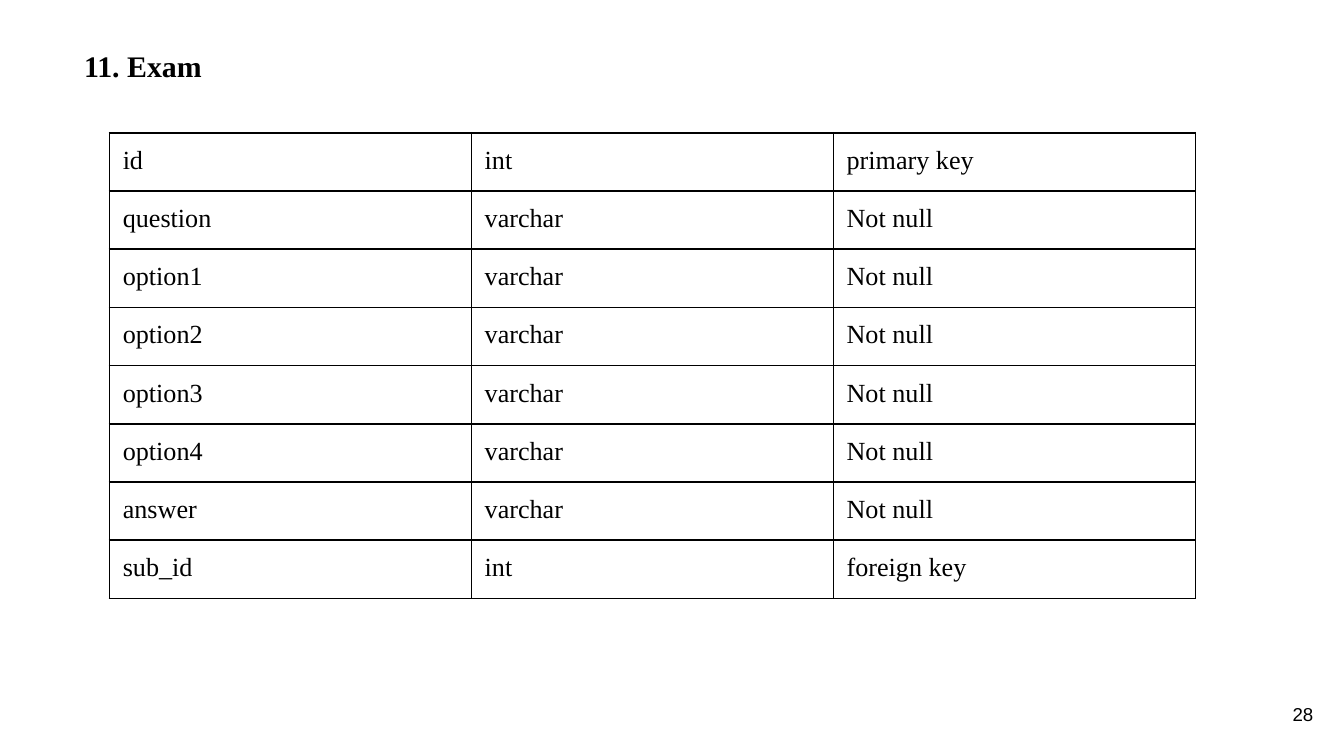
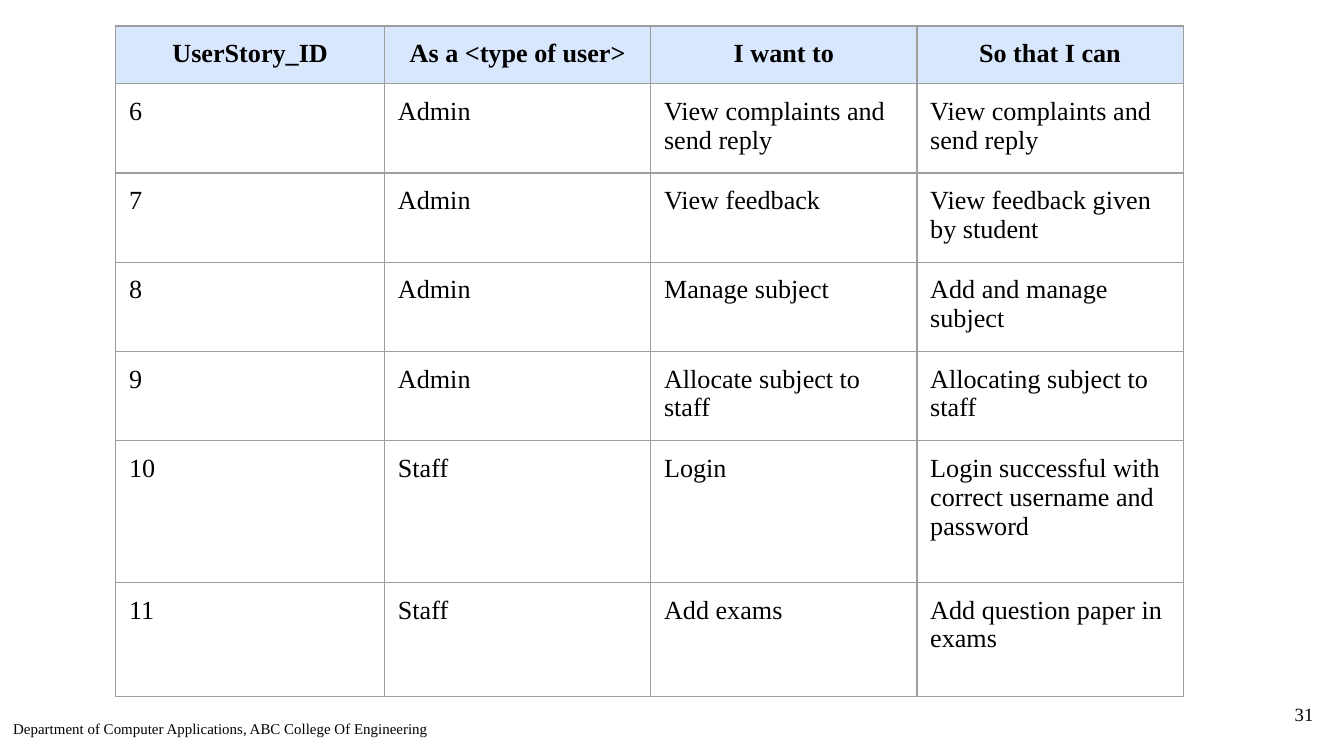
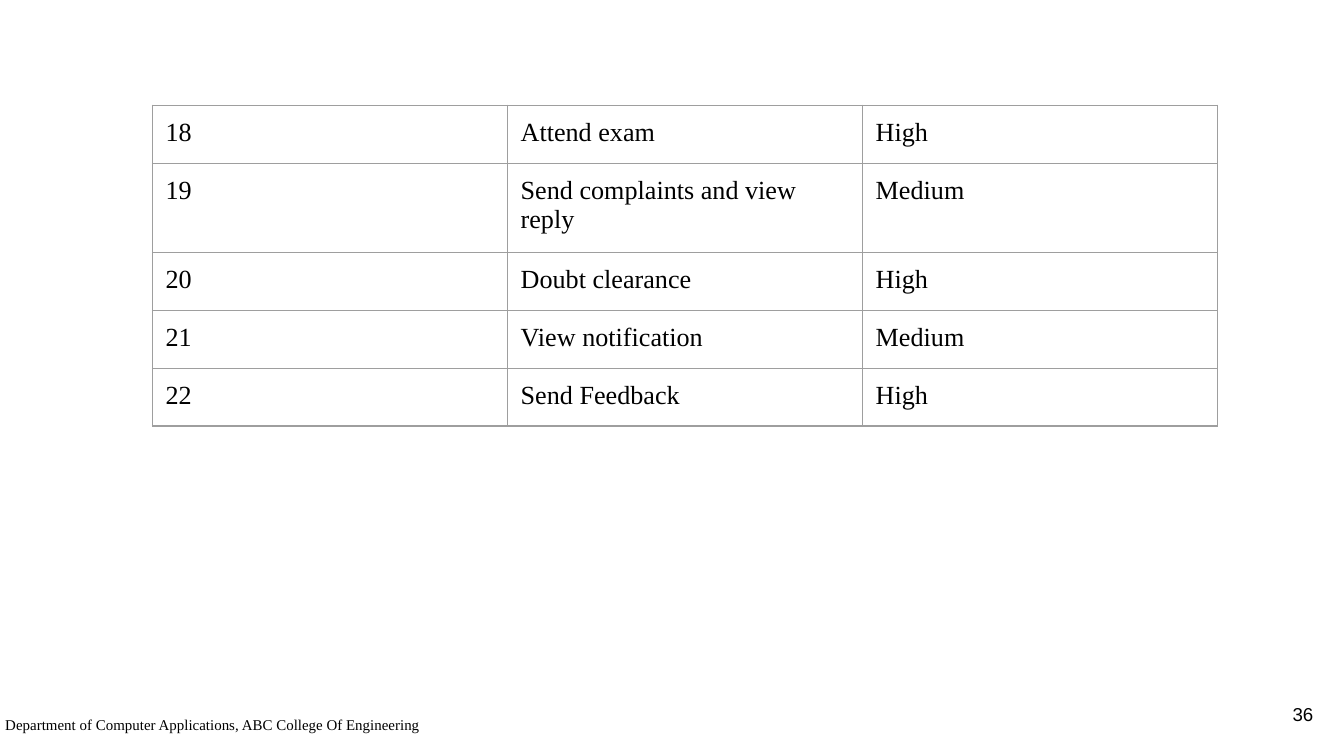
from lxml.etree import SubElement
from pptx import Presentation
from pptx.dml.color import RGBColor
from pptx.enum.text import MSO_ANCHOR, PP_ALIGN
from pptx.oxml.ns import qn
from pptx.util import Cm, Pt

BLACK = RGBColor(0x00, 0x00, 0x00)
GREY = RGBColor(0x9E, 0x9E, 0x9E)
PALE = RGBColor(0xD9, 0xE7, 0xFD)
SERIF = "Times New Roman"
SANS = "Arial"
INSET = Cm(0.25)
TITLE_ONLY, BLANK = 5, 6
NUMBER_BOX = (23.55, 12.95, 1.52, 1.09)
FOOTER = "Department of Computer Applications, ABC College Of Engineering"

EXAM = [
    ("id", "int", "primary key"),
    ("question", "varchar", "Not null"),
    ("option1", "varchar", "Not null"),
    ("option2", "varchar", "Not null"),
    ("option3", "varchar", "Not null"),
    ("option4", "varchar", "Not null"),
    ("answer", "varchar", "Not null"),
    ("sub_id", "int", "foreign key"),
]
STORIES = [
    ("UserStory_ID", "As a <type of user>", "I want to", "So that I can"),
    ("6", "Admin", "View complaints and send reply", "View complaints and send reply"),
    ("7", "Admin", "View feedback", "View feedback given by student"),
    ("8", "Admin", "Manage subject", "Add and manage subject"),
    ("9", "Admin", "Allocate subject to staff", "Allocating subject to staff"),
    ("10", "Staff", "Login", "Login successful with correct username and password"),
    ("11", "Staff", "Add exams", "Add question paper in exams"),
]
RANKS = [
    ("18", "Attend exam", "High"),
    ("19", "Send complaints and view reply", "Medium"),
    ("20", "Doubt clearance", "High"),
    ("21", "View notification", "Medium"),
    ("22", "Send Feedback", "High"),
]


def write(frame, text, size, font=SERIF, bold=False, align=PP_ALIGN.LEFT):
    """Fill a text frame with one styled paragraph."""
    frame.text = text
    line = frame.paragraphs[0]
    line.alignment = align
    style = line.runs[0].font
    style.name, style.size, style.bold = font, Pt(size), bold
    style.color.rgb = BLACK


def pad(item):
    """Give a cell or text frame the shared inset."""
    item.margin_left = item.margin_right = INSET
    item.margin_top = item.margin_bottom = INSET


def add_text(slide, box, text, size, anchor=MSO_ANCHOR.TOP, **style):
    frame = slide.shapes.add_textbox(*map(Cm, box)).text_frame
    frame.word_wrap = True
    frame.vertical_anchor = anchor
    pad(frame)
    write(frame, text, size, **style)


def add_number(slide, text, font=SANS):
    add_text(slide, NUMBER_BOX, text, 10, MSO_ANCHOR.MIDDLE,
             font=font, align=PP_ALIGN.RIGHT)


def add_footer(slide, left, top):
    add_text(slide, (left, top, 13.8, 1.19), FOOTER, 8)


def set_title(slide, box, text):
    title = slide.shapes.title
    title.left, title.top, title.width, title.height = map(Cm, box)
    frame = title.text_frame
    frame.vertical_anchor = MSO_ANCHOR.TOP
    pad(frame)
    write(frame, text, 16, bold=True)


def outline(cell, color, width):
    """Draw the four borders of a cell."""
    props = cell._tc.get_or_add_tcPr()
    for side in ("lnL", "lnR", "lnT", "lnB"):
        line = SubElement(props, qn(f"a:{side}"), w=str(Pt(width)))
        fill = SubElement(line, qn("a:solidFill"))
        SubElement(fill, qn("a:srgbClr"), val=str(color))


def add_grid(slide, spot, data, cols, rows, color=GREY, width=0.75, head=False):
    """Place a ruled table at spot, with a tinted first row if head is set."""
    left, top = spot
    table = slide.shapes.add_table(
        len(rows), len(cols), Cm(left), Cm(top), Cm(sum(cols)), Cm(sum(rows))).table
    table.first_row = table.horz_banding = False
    for col, size in zip(table.columns, cols):
        col.width = Cm(size)
    for row, size, texts in zip(table.rows, rows, data):
        row.height = Cm(size)
        top_row = head and texts is data[0]
        for cell, text in zip(row.cells, texts):
            pad(cell)
            write(cell.text_frame, text, 14, bold=top_row,
                  align=PP_ALIGN.CENTER if top_row else PP_ALIGN.LEFT)
            outline(cell, color, width)
            if top_row:
                cell.fill.solid()
                cell.fill.fore_color.rgb = PALE
            else:
                cell.fill.background()


def exam_slide(slide):
    add_number(slide, "28")
    add_grid(slide, (2.07, 2.51), EXAM, [6.84] * 3, [1.1] * 8, BLACK, 1)
    set_title(slide, (1.34, 0.66, 10.57, 1.19), "11. Exam")


def story_slide(slide):
    add_grid(slide, (2.19, 0.49), STORIES, [5.08] + [5.03] * 3,
             [1.04] + [1.6] * 4 + [2.68, 2.15], head=True)
    add_footer(slide, 0, 13.44)
    add_number(slide, "31", SERIF)


def rank_slide(slide):
    add_grid(slide, (2.88, 1.99), RANKS, [6.71] * 3, [1.06] * 5)
    add_footer(slide, -0.15, 13.36)
    add_number(slide, "36")


def main():
    deck = Presentation()
    deck.slide_width, deck.slide_height = Cm(25.4), Cm(14.29)
    pages = ((TITLE_ONLY, exam_slide), (BLANK, story_slide), (BLANK, rank_slide))
    for layout, build in pages:
        build(deck.slides.add_slide(deck.slide_layouts[layout]))
    deck.save("out.pptx")


if __name__ == "__main__":
    main()
